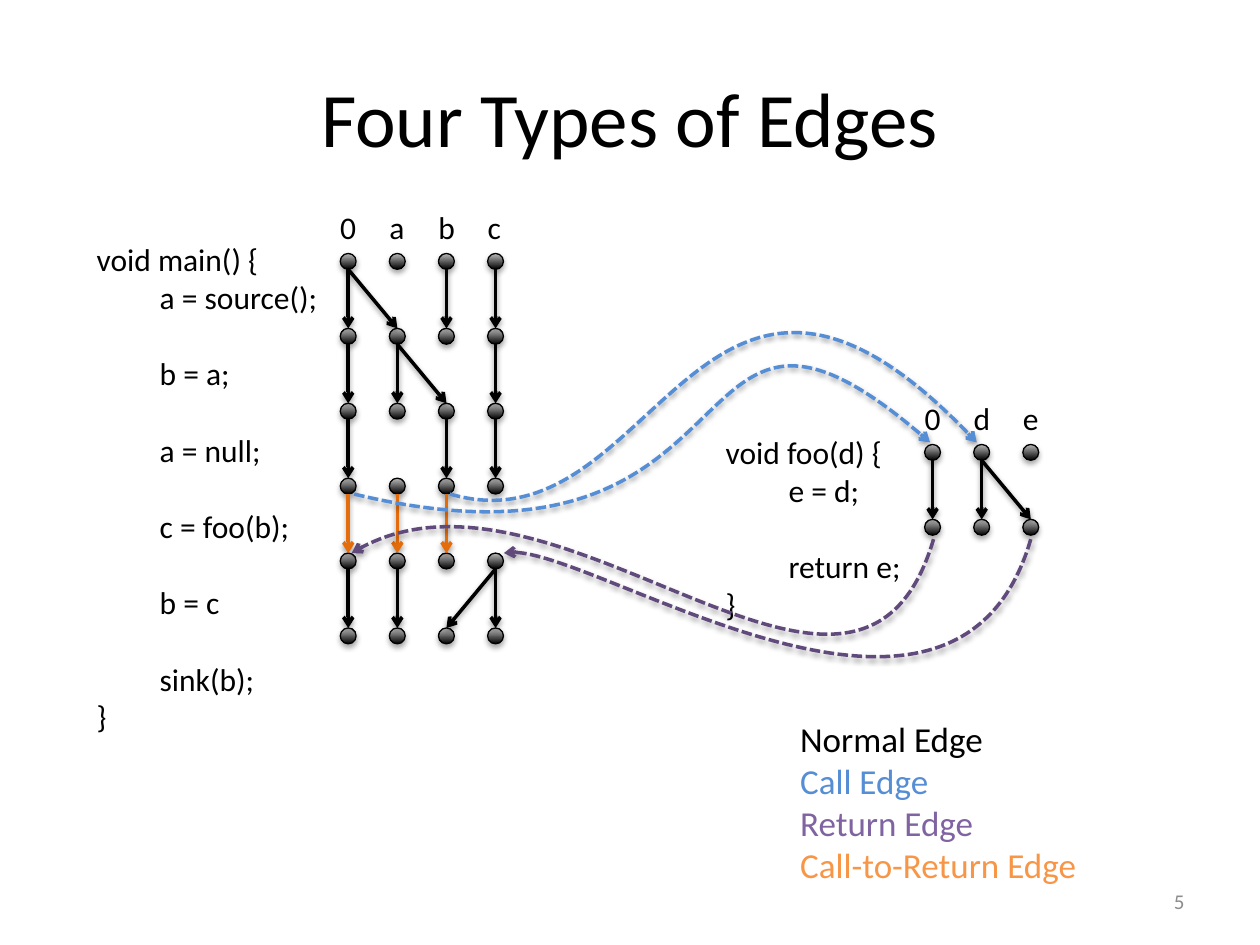
from dataclasses import dataclass

from lxml import etree
from pptx import Presentation
from pptx import util as u
from pptx.dml.color import RGBColor
from pptx.enum import dml, shapes, text
from pptx.oxml import ns

COLORS = {
    "black": "000000",
    "shine": "BDBDBD",
    "call": "558ED5",
    "return": "604A7B",
    "return_text": "8064A2",
    "bypass": "E46C0A",
    "bypass_text": "F79646",
    "number": "8C8C8C",
}
DOT = 0.32
COL_STEP = 0.99
ROW_STEP = 1.51
CODE_INDENT = 1.27
LINE_GAP = 22


@dataclass
class Line:
    content: str
    color: str = "black"
    indent: float = 0
    before: float = 0


@dataclass
class TextBox:
    box: tuple[float, float, float, float]
    lines: list[Line]
    size: float = 18
    wrap: bool = True
    align: text.PP_ALIGN = text.PP_ALIGN.LEFT
    anchor: text.MSO_ANCHOR = text.MSO_ANCHOR.TOP


@dataclass
class Edge:
    row: int
    start: int
    end: int
    color: str = "black"


@dataclass
class Graph:
    left: float
    top: float
    rows: int
    names: str
    edges: list[Edge]


@dataclass
class Curve:
    points: list[tuple[float, float]]
    color: str


def rgb(name: str) -> RGBColor:
    return RGBColor.from_string(COLORS[name])


def statement(content: str, gap: bool = True) -> Line:
    return Line(content, indent=CODE_INDENT, before=LINE_GAP if gap else 0)


def add_text(s, item: TextBox) -> None:
    tf = s.shapes.add_textbox(*map(u.Cm, item.box)).text_frame
    frame_format = {"word_wrap": item.wrap, "vertical_anchor": item.anchor}
    for name, value in frame_format.items():
        setattr(tf, name, value)
    for i, line in enumerate(item.lines):
        p = tf.add_paragraph() if i else tf.paragraphs[0]
        p.alignment = item.align
        if line.before:
            p.space_before = u.Pt(line.before)
        if line.indent:
            p._p.get_or_add_pPr().set("marL", str(u.Cm(line.indent)))
        r = p.add_run()
        r.text = line.content
        for name, value in {"name": "Calibri", "size": u.Pt(item.size)}.items():
            setattr(r.font, name, value)
        r.font.color.rgb = rgb(line.color)


def add_shadow(sp, distance: int, opacity: int) -> None:
    effects = etree.SubElement(sp._element.spPr, ns.qn("a:effectLst"))
    shadow = etree.SubElement(effects, ns.qn("a:outerShdw"), blurRad="40000",
                              dist=str(distance), dir="5400000", rotWithShape="0")
    color = etree.SubElement(shadow, ns.qn("a:srgbClr"), val=COLORS["black"])
    etree.SubElement(color, ns.qn("a:alpha"), val=str(opacity * 1000))


def style_edge(sp, color: str, dash=None) -> None:
    sp.line.color.rgb = rgb(color)
    for name, value in {"width": u.Pt(2), "dash_style": dash}.items():
        setattr(sp.line, name, value)
    etree.SubElement(sp.line._get_or_add_ln(), ns.qn("a:tailEnd"), type="arrow")
    add_shadow(sp, 20000, 38)


def add_dot(s, x: float, y: float) -> None:
    sp = s.shapes.add_shape(shapes.MSO_SHAPE.OVAL, *map(u.Cm, (x, y, DOT, DOT)))
    sp.fill.gradient()
    sp.fill.gradient_angle = 90
    for stop, name in zip(sp.fill.gradient_stops, ("black", "shine")):
        stop.color.rgb = rgb(name)
    sp.line.color.rgb = rgb("black")
    sp.line.width = u.Pt(0.75)
    add_shadow(sp, 23000, 35)


def add_graph(s, graph: Graph) -> None:
    xs = [graph.left + i * COL_STEP for i in range(len(graph.names))]
    ys = [graph.top + i * ROW_STEP for i in range(graph.rows)]
    for x, name in zip(xs, graph.names):
        for y in ys:
            add_dot(s, x, y)
        add_text(s, TextBox((x - 0.25, graph.top - 1.04, 0.84, 1.02), [Line(name)], wrap=False))
    for edge in graph.edges:
        ends = (xs[edge.start] + DOT / 2, ys[edge.row] + DOT,
                xs[edge.end] + DOT / 2, ys[edge.row + 1])
        sp = s.shapes.add_connector(shapes.MSO_CONNECTOR.STRAIGHT, *map(u.Cm, ends))
        style_edge(sp, edge.color)


def bezier(values: tuple[float, ...], t: float) -> float:
    a, b, c, d = values
    return a * (1 - t) ** 3 + 3 * b * t * (1 - t) ** 2 + 3 * c * t * t * (1 - t) + d * t ** 3


def add_curve(s, curve: Curve) -> None:
    points = [(u.Cm(x), u.Cm(y)) for x, y in curve.points]
    xs, ys = zip(*points)
    samples = [(int(bezier(xs, i / 40)), int(bezier(ys, i / 40))) for i in range(41)]
    builder = s.shapes.build_freeform(*samples[0])
    builder.add_line_segments(samples[1:], close=False)
    sp = builder.convert_to_shape()
    outline = sp._element.find(".//" + ns.qn("a:path"))
    for segment in list(outline):
        outline.remove(segment)
    for tag, group in (("a:moveTo", points[:1]), ("a:cubicBezTo", points[1:])):
        segment = etree.SubElement(outline, ns.qn(tag))
        for x, y in group:
            etree.SubElement(segment, ns.qn("a:pt"), x=str(x - sp.left), y=str(y - sp.top))
    sp.fill.background()
    style_edge(sp, curve.color, dml.MSO_LINE.SQUARE_DOT)


GRAPHS = [
    Graph(6.86, 5.11, 6, "0abc", [
        Edge(0, 0, 0), Edge(0, 0, 1), Edge(0, 2, 2), Edge(0, 3, 3),
        Edge(1, 0, 0), Edge(1, 1, 1), Edge(1, 1, 2), Edge(1, 3, 3),
        Edge(2, 0, 0), Edge(2, 2, 2), Edge(2, 3, 3),
        *[Edge(3, i, i, "bypass") for i in range(3)],
        Edge(4, 0, 0), Edge(4, 1, 1), Edge(4, 3, 3), Edge(4, 3, 2),
    ]),
    Graph(18.64, 8.96, 2, "0de", [Edge(0, 0, 0), Edge(0, 1, 2), Edge(0, 1, 1)]),
]
CURVES = [
    Curve([(7.14, 9.96), (15.65, 12.01), (13.36, 4.19), (18.75, 8.92)], "call"),
    Curve([(9.07, 9.96), (13.23, 11.18), (14.07, 2.9), (19.69, 8.92)], "call"),
    Curve([(18.82, 10.87), (17.3, 16.05), (11.15, 8.64), (7.09, 11.15)], "return"),
    Curve([(20.78, 10.87), (19.28, 16.05), (11.66, 10.8), (10.16, 11.15)], "return"),
]
TEXTS = [
    TextBox((1.7, 4.72, 5.49, 10.26), [
        Line("void main() {"), statement("a = source();", gap=False), statement("b = a;"),
        statement("a = null;"), statement("c = foo(b);"), statement("b = c"),
        statement("sink(b);"), Line("}"),
    ]),
    TextBox((14.38, 8.61, 4.57, 4.11), [
        Line("void foo(d) {"), statement("e = d;", gap=False), statement("return e;"), Line("}"),
    ]),
    TextBox((15.88, 14.33, 6.12, 3.68), [
        Line("Normal Edge"), Line("Call Edge", "call"), Line("Return Edge", "return_text"),
        Line("Call-to-Return Edge", "bypass_text"),
    ], size=20, wrap=False),
    TextBox((1.27, 0.76, 22.86, 3.18), [Line("Four Types of Edges")], size=44,
            align=text.PP_ALIGN.CENTER, anchor=text.MSO_ANCHOR.MIDDLE),
    TextBox((18.21, 17.65, 5.92, 1.02), [Line("5", "number")], size=12,
            align=text.PP_ALIGN.RIGHT, anchor=text.MSO_ANCHOR.MIDDLE),
]


def main() -> None:
    prs = Presentation()
    prs.slide_width, prs.slide_height = u.Cm(25.4), u.Cm(19.05)
    s = prs.slides.add_slide(prs.slide_layouts[6])
    for draw, items in ((add_graph, GRAPHS), (add_text, TEXTS), (add_curve, CURVES)):
        for item in items:
            draw(s, item)
    prs.save("out.pptx")


if __name__ == "__main__":
    main()
